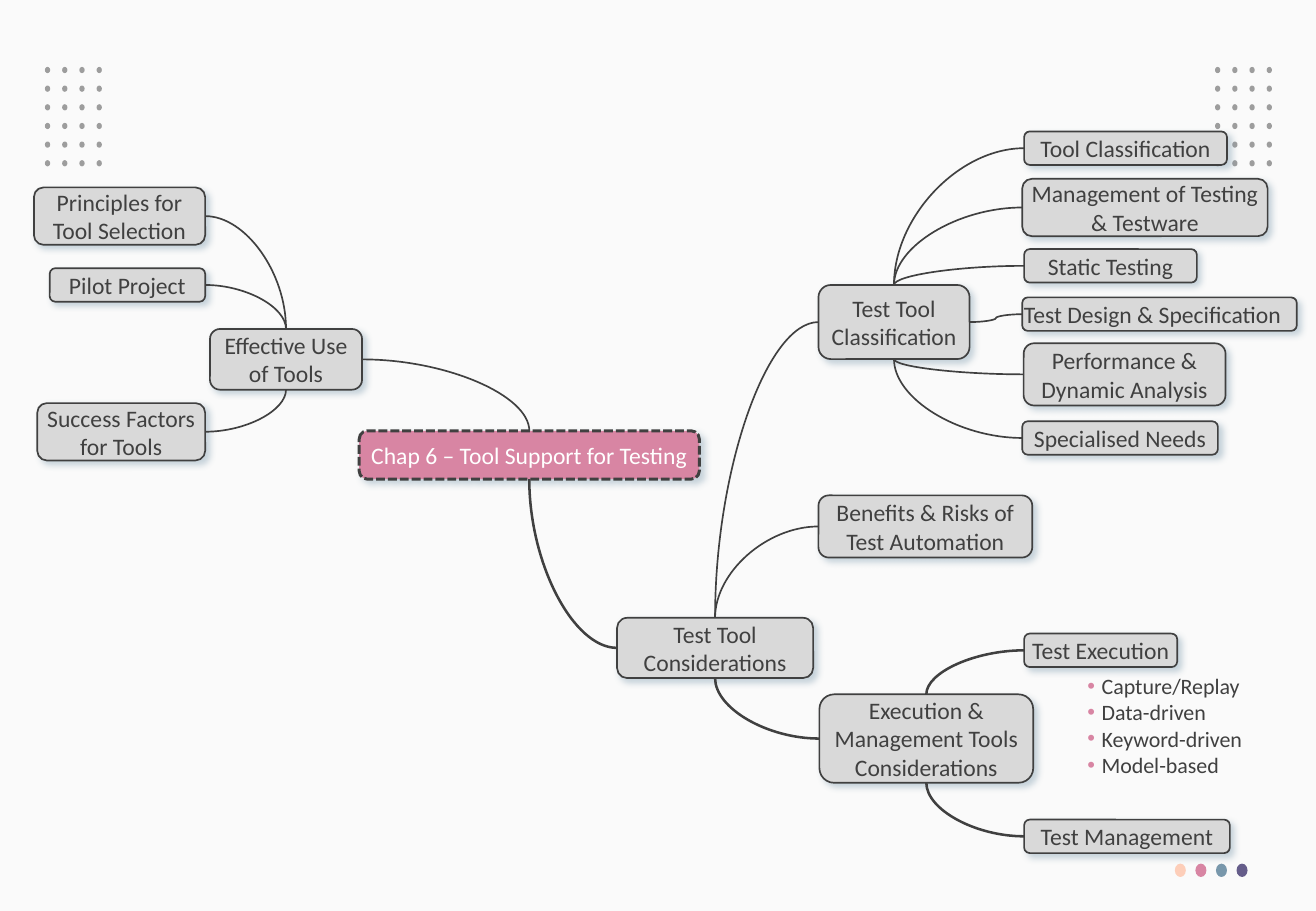
import lxml.etree
import pptx
import pptx.dml.color
import pptx.enum.dml
import pptx.enum.shapes
import pptx.enum.text
import pptx.oxml.ns
import pptx.util

Cm = pptx.util.Cm
Pt = pptx.util.Pt
qn = pptx.oxml.ns.qn
Shape = pptx.enum.shapes.MSO_SHAPE
Align = pptx.enum.text.PP_ALIGN
TOP, LEFT, BOTTOM, RIGHT = range(4)

ROOT = "Chap 6 – Tool Support for Testing"
CONSIDERATIONS = "Test Tool Considerations"
CLASSIFICATION = "Test Tool Classification"
EFFECTIVE = "Effective Use of Tools"
EXECUTION = "Execution & Management Tools Considerations"
DESIGN = "Test Design & Specification"

TOPICS = [
    (CONSIDERATIONS, 12.9, 12.92, 4.1, 1.26),
    (CLASSIFICATION, 17.11, 5.96, 3.16, 1.55),
    (EFFECTIVE, 4.39, 6.88, 3.18, 1.27),
    (EXECUTION, 17.13, 14.52, 4.47, 1.85),
    ("Benefits & Risks of Test Automation", 17.11, 10.36, 4.47, 1.3),
    ("Principles for Tool Selection", 0.71, 3.92, 3.58, 1.2),
    ("Pilot Project", 1.04, 5.61, 3.25, 0.7),
    ("Success Factors for Tools", 0.78, 8.43, 3.51, 1.2),
    ("Tool Classification", 21.41, 2.75, 4.24, 0.7),
    ("Management of Testing & Testware", 21.37, 3.74, 5.13, 1.2),
    ("Static Testing", 21.41, 5.21, 3.61, 0.7),
    (DESIGN, 21.37, 6.22, 5.74, 0.7),
    ("Performance & Dynamic Analysis", 21.4, 7.18, 4.22, 1.3),
    ("Specialised Needs", 21.37, 8.81, 4.09, 0.7),
    ("Test Execution", 21.41, 13.25, 3.2, 0.7),
    ("Test Management", 21.41, 17.14, 4.3, 0.7),
]

LINKS = [
    (EFFECTIVE, RIGHT, ROOT, TOP, 1),
    (CONSIDERATIONS, LEFT, ROOT, BOTTOM, 1.5),
    ("Principles for Tool Selection", RIGHT, EFFECTIVE, TOP, 1),
    ("Pilot Project", RIGHT, EFFECTIVE, TOP, 1),
    ("Success Factors for Tools", RIGHT, EFFECTIVE, BOTTOM, 1),
    (CLASSIFICATION, LEFT, CONSIDERATIONS, TOP, 1),
    ("Benefits & Risks of Test Automation", LEFT, CONSIDERATIONS, TOP, 1),
    (EXECUTION, LEFT, CONSIDERATIONS, BOTTOM, 1.5),
    ("Tool Classification", LEFT, CLASSIFICATION, TOP, 1),
    ("Management of Testing & Testware", LEFT, CLASSIFICATION, TOP, 1),
    ("Static Testing", LEFT, CLASSIFICATION, TOP, 1),
    (DESIGN, LEFT, CLASSIFICATION, RIGHT, 1),
    ("Performance & Dynamic Analysis", LEFT, CLASSIFICATION, BOTTOM, 1),
    ("Specialised Needs", LEFT, CLASSIFICATION, BOTTOM, 1),
    ("Test Execution", LEFT, EXECUTION, TOP, 1.5),
    ("Test Management", LEFT, EXECUTION, BOTTOM, 1.5),
]


def color(value):
    return pptx.dml.color.RGBColor.from_string(value)


class MindMap:
    font = "Calibri"
    ink = "404040"
    gray = "D9D9D9"
    pink = "D885A3"
    blue = "7897AB"

    def __init__(self, page):
        self.page = page
        self.topics = {}
        page.background.fill.solid()
        page.background.fill.fore_color.rgb = color("FAFAFA")

    def shape(self, kind, x, y, width, height, fill):
        shape = self.page.shapes.add_shape(kind, Cm(x), Cm(y), Cm(width), Cm(height))
        shape.shadow.inherit = False
        shape.fill.solid()
        shape.fill.fore_color.rgb = color(fill)
        return shape

    def dot(self, x, y, width, height, fill):
        self.shape(Shape.OVAL, x, y, width, height, fill).line.fill.background()

    def add_span(self, para, text, size, ink):
        span = para.add_run()
        span.text = text
        span.font.name = self.font
        span.font.size = Pt(size)
        span.font.color.rgb = color(ink)

    def shade(self, box):
        effects = box.element.spPr.find(qn("a:effectLst"))
        shadow = lxml.etree.SubElement(
            effects, qn("a:outerShdw"), blurRad=str(Pt(4)), dist=str(Pt(3)),
            dir="2700000", algn="tl", rotWithShape="0")
        tint = lxml.etree.SubElement(shadow, qn("a:srgbClr"), val=self.blue)
        lxml.etree.SubElement(tint, qn("a:alpha"), val="40000")

    def topic(self, text, x, y, width, height, fill=gray, ink=ink, line=1,
              align=Align.CENTER):
        box = self.shape(Shape.ROUNDED_RECTANGLE, x, y, width, height, fill)
        box.line.color.rgb = color(self.ink)
        box.line.width = Pt(line)
        self.shade(box)
        frame = box.text_frame
        frame.word_wrap = True
        frame.vertical_anchor = pptx.enum.text.MSO_ANCHOR.MIDDLE
        frame.margin_left = frame.margin_right = 0
        frame.margin_top = frame.margin_bottom = Cm(0.1)
        para = frame.paragraphs[0]
        para.alignment = align
        self.add_span(para, text, 14, ink)
        self.topics[text] = box
        return box

    def link(self, child, child_side, parent, parent_side, width):
        curve = self.page.shapes.add_connector(
            pptx.enum.shapes.MSO_CONNECTOR.CURVE, 0, 0, 0, 0)
        curve.begin_connect(self.topics[child], child_side)
        curve.end_connect(self.topics[parent], parent_side)
        curve.line.color.rgb = color(self.ink)
        curve.line.width = Pt(width)
        properties = curve.element.spPr
        lxml.etree.SubElement(properties, qn("a:effectLst"))
        if parent_side in (TOP, BOTTOM):
            properties.find(qn("a:prstGeom")).set("prst", "curvedConnector2")

    def bullets(self, items, x, y, width, height):
        box = self.page.shapes.add_textbox(Cm(x), Cm(y), Cm(width), Cm(height))
        frame = box.text_frame
        frame.word_wrap = True
        for index, item in enumerate(items):
            para = frame.add_paragraph() if index else frame.paragraphs[0]
            properties = para._p.get_or_add_pPr()
            properties.set("marL", str(Cm(0.3)))
            properties.set("indent", str(-Cm(0.3)))
            tint = lxml.etree.SubElement(properties, qn("a:buClr"))
            lxml.etree.SubElement(tint, qn("a:srgbClr"), val=self.pink)
            lxml.etree.SubElement(properties, qn("a:buFont"), typeface="Arial")
            lxml.etree.SubElement(properties, qn("a:buChar"), char="•")
            self.add_span(para, item, 13, self.ink)


def main():
    deck = pptx.Presentation()
    deck.slide_width, deck.slide_height = Cm(27.51), Cm(19.05)
    chart = MindMap(deck.slides.add_slide(deck.slide_layouts[6]))

    for start in (0.94, 25.4):
        for row in range(6):
            for column in range(4):
                if (start, row, column) != (25.4, 4, 0):
                    chart.dot(start + column * 0.36, 1.4 + row * 0.39, 0.11, 0.13, "9D9D9D")
    for index, fill in enumerate(("FDCEB9", chart.pink, chart.blue, "655D8A")):
        chart.dot(24.56 + index * 0.43, 18.06, 0.23, 0.28, fill)

    root = chart.topic(ROOT, 7.51, 9.01, 7.11, 1.01, chart.pink, "FFFFFF", 1.75)
    root.line.dash_style = pptx.enum.dml.MSO_LINE.SQUARE_DOT
    for text, *place in TOPICS:
        align = Align.LEFT if text == DESIGN else Align.CENTER
        chart.topic(text, *place, align=align)
    for link in LINKS:
        chart.link(*link)
    chart.bullets(("Capture/Replay", "Data-driven", "Keyword-driven", "Model-based"),
                  22.48, 13.94, 4.17, 2.49)
    deck.save("out.pptx")


if __name__ == "__main__":
    main()
